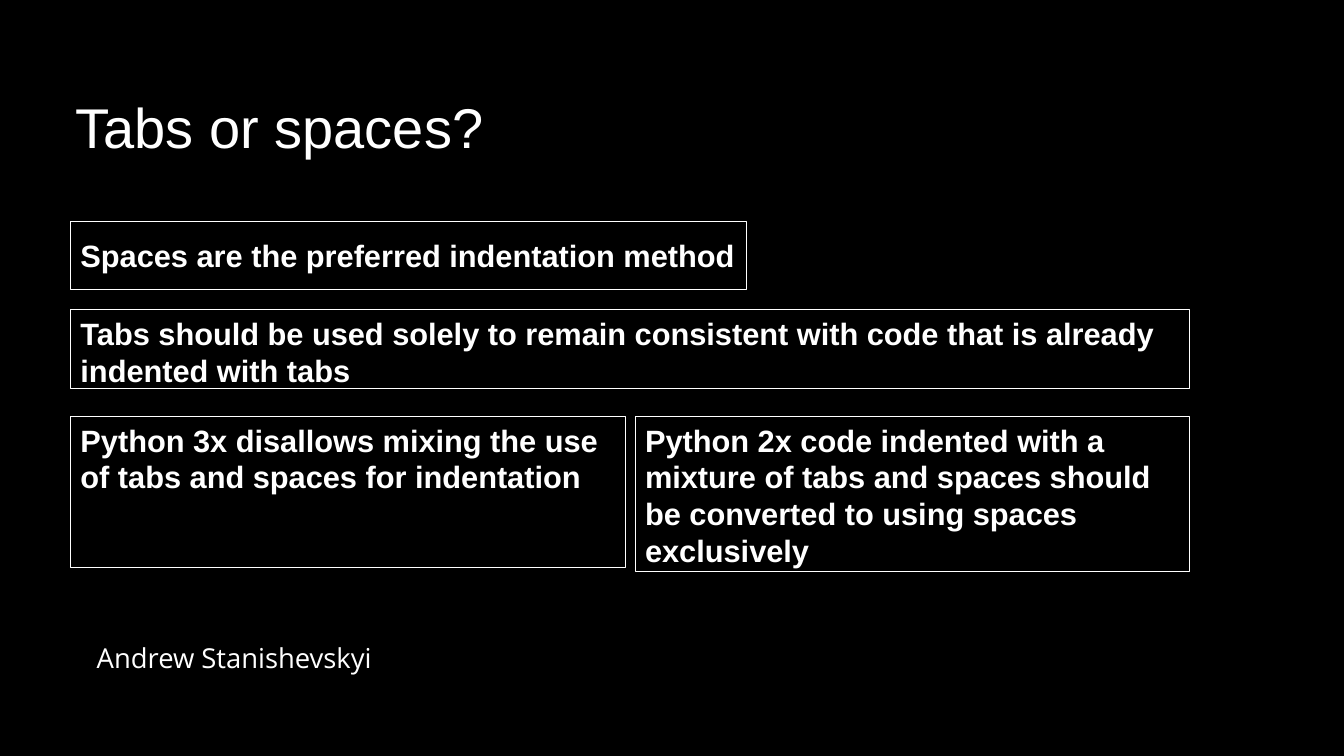
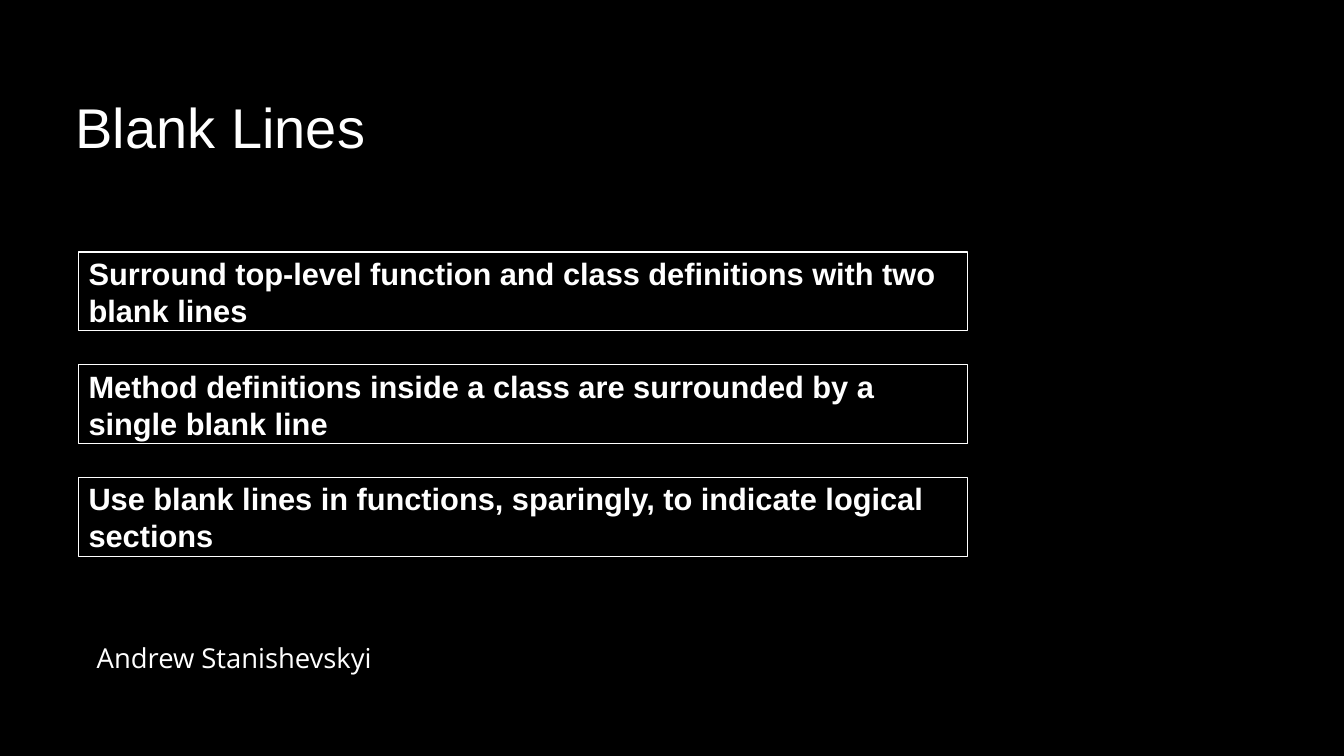
from dataclasses import dataclass

from pptx import Presentation
from pptx.dml.color import RGBColor
from pptx.enum.shapes import MSO_SHAPE
from pptx.enum.text import MSO_ANCHOR, PP_ALIGN
from pptx.util import Inches, Pt

RECTANGLE = MSO_SHAPE.RECTANGLE
TOP, MIDDLE = MSO_ANCHOR.TOP, MSO_ANCHOR.MIDDLE
LEFT = PP_ALIGN.LEFT
TITLE_ONLY = 5


@dataclass(frozen=True)
class Theme:
    background: RGBColor = RGBColor(0x00, 0x00, 0x00)
    foreground: RGBColor = RGBColor(0xFF, 0xFF, 0xFF)
    main_font: str = "Arial"
    author_font: str = "Open Sans"
    title_size: float = 40
    rule_size: float = 22
    author_size: float = 19.6
    outline_width: float = 0


THEME = Theme()
AUTHOR = "Andrew Stanishevskyi"


def place(shape, left, top, width, height):
    shape.left, shape.top = Inches(left), Inches(top)
    shape.width, shape.height = Inches(width), Inches(height)


def write(shape, text, font_name, size, bold=False, anchor=TOP, margins=(0, 0)):
    """Fill a shape with one left-aligned paragraph; margins are x, y in inches."""
    frame = shape.text_frame
    frame.text = text
    frame.word_wrap = True
    frame.vertical_anchor = anchor
    frame.margin_left = frame.margin_right = Inches(margins[0])
    frame.margin_top = frame.margin_bottom = Inches(margins[1])
    paragraph = frame.paragraphs[0]
    paragraph.alignment = LEFT
    font = paragraph.runs[0].font
    font.name, font.size, font.bold = font_name, Pt(size), bold
    font.color.rgb = THEME.foreground


def add_slide(presentation, title):
    """Add a slide with the shared title and author line."""
    slide = presentation.slides.add_slide(presentation.slide_layouts[TITLE_ONLY])
    place(slide.shapes.title, 0.75, 0.8, 11.83, 0.9)
    write(slide.shapes.title, title, THEME.main_font, THEME.title_size, anchor=MIDDLE)

    author = slide.shapes.add_textbox(Inches(0.96), Inches(6.36), Inches(3.2), Inches(0.4))
    write(author, AUTHOR, THEME.author_font, THEME.author_size)
    return slide


def add_rule_box(slide, text, left, top, width, height, anchor=TOP):
    """Add an outlined box that states one style rule."""
    box = slide.shapes.add_shape(
        RECTANGLE, Inches(left), Inches(top), Inches(width), Inches(height))
    box.shadow.inherit = False
    box.fill.background()
    box.line.color.rgb = THEME.foreground
    box.line.width = Pt(THEME.outline_width)
    write(box, text, THEME.main_font, THEME.rule_size, True, anchor, (0.1, 0.05))


def build_indentation_slide(presentation):
    slide = add_slide(presentation, "Tabs or spaces?")
    left, full_width, gap = 0.7, 11.1, 0.1
    half_width = (full_width - gap) / 2

    # General rules
    add_rule_box(slide, "Spaces are the preferred indentation method",
                 left, 2.2, 6.7, 0.67, MIDDLE)
    add_rule_box(slide, "Tabs should be used solely to remain consistent with code "
                 "that is already indented with tabs", left, 3.07, full_width, 0.78)

    # Rules by language version
    versions = (
        ("Python 3x disallows mixing the use of tabs and spaces for indentation", 1.5),
        ("Python 2x code indented with a mixture of tabs and spaces should be "
         "converted to using spaces exclusively", 1.54),
    )
    for column, (text, height) in enumerate(versions):
        add_rule_box(slide, text, left + column * (half_width + gap), 4.13,
                     half_width, height)


def build_blank_lines_slide(presentation):
    slide = add_slide(presentation, "Blank Lines")
    rules = (
        "Surround top-level function and class definitions with two blank lines",
        "Method definitions inside a class are surrounded by a single blank line",
        "Use blank lines in functions, sparingly, to indicate logical sections",
    )
    for row, text in enumerate(rules):
        add_rule_box(slide, text, 0.78, 2.5 + row * 1.12, 8.82, 0.78, MIDDLE)


def main():
    presentation = Presentation()
    presentation.slide_width, presentation.slide_height = Inches(13.33), Inches(7.5)

    # Shared background
    background = presentation.slide_master.background.fill
    background.solid()
    background.fore_color.rgb = THEME.background

    build_indentation_slide(presentation)
    build_blank_lines_slide(presentation)
    presentation.save("out.pptx")


if __name__ == "__main__":
    main()
